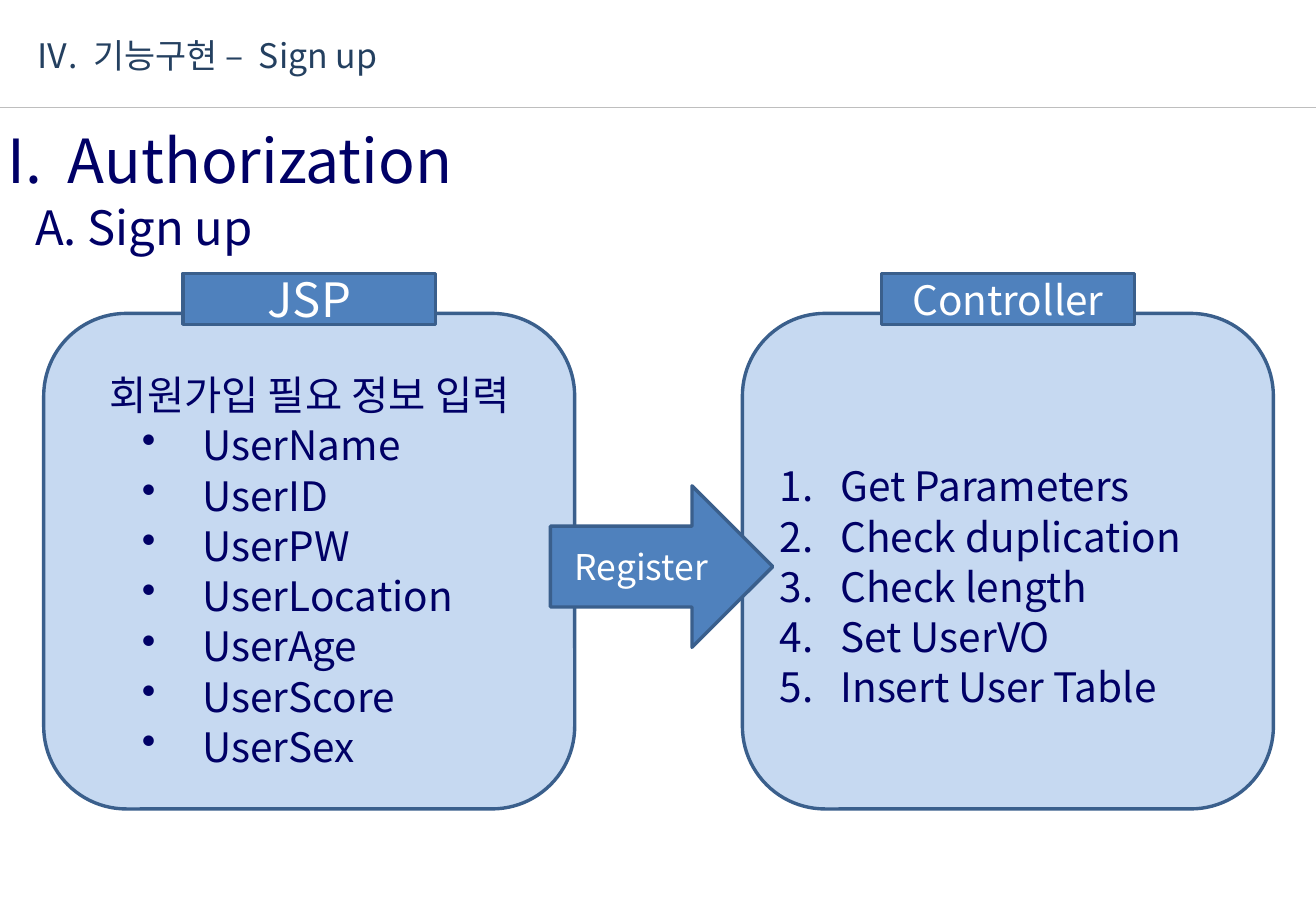
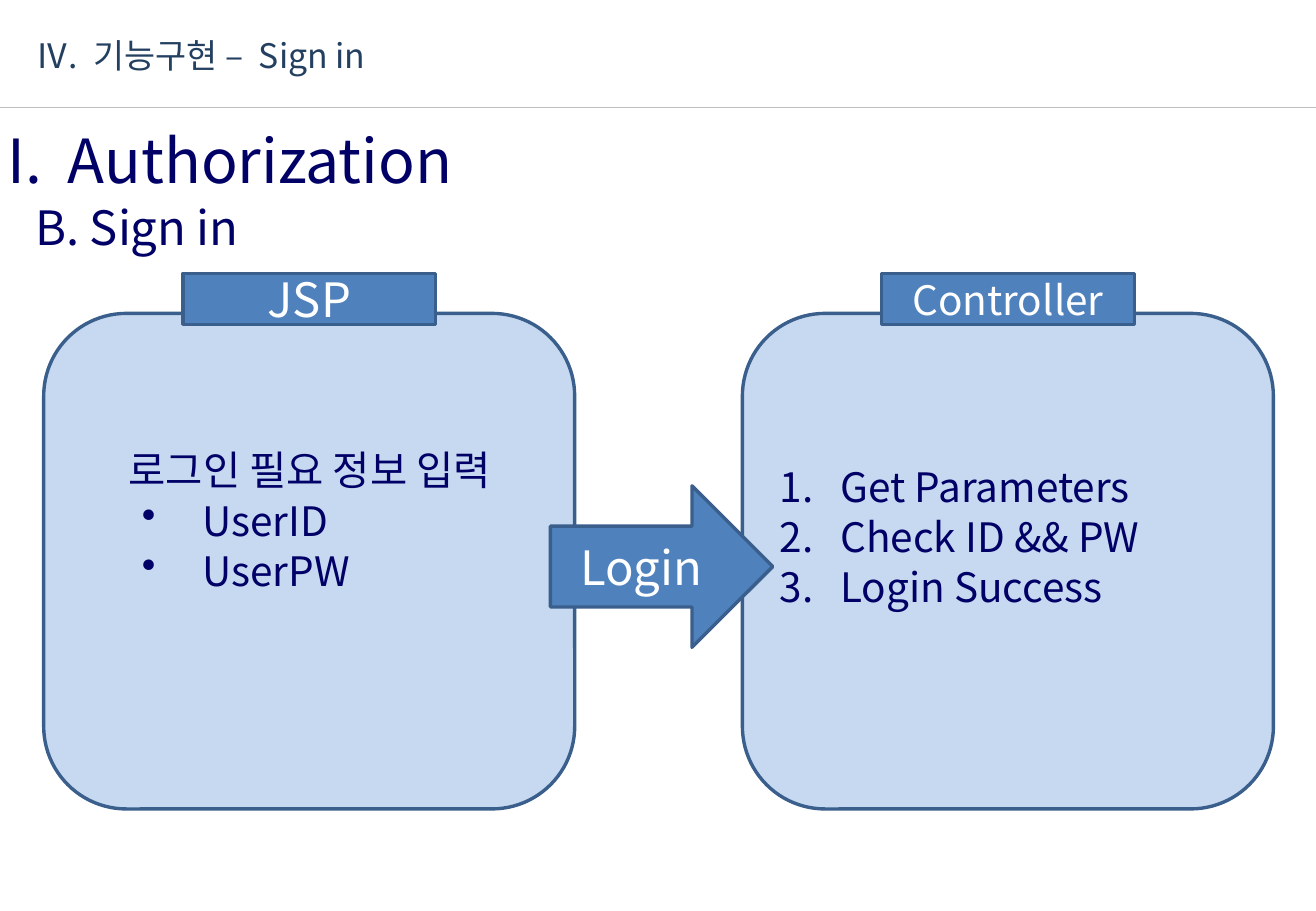
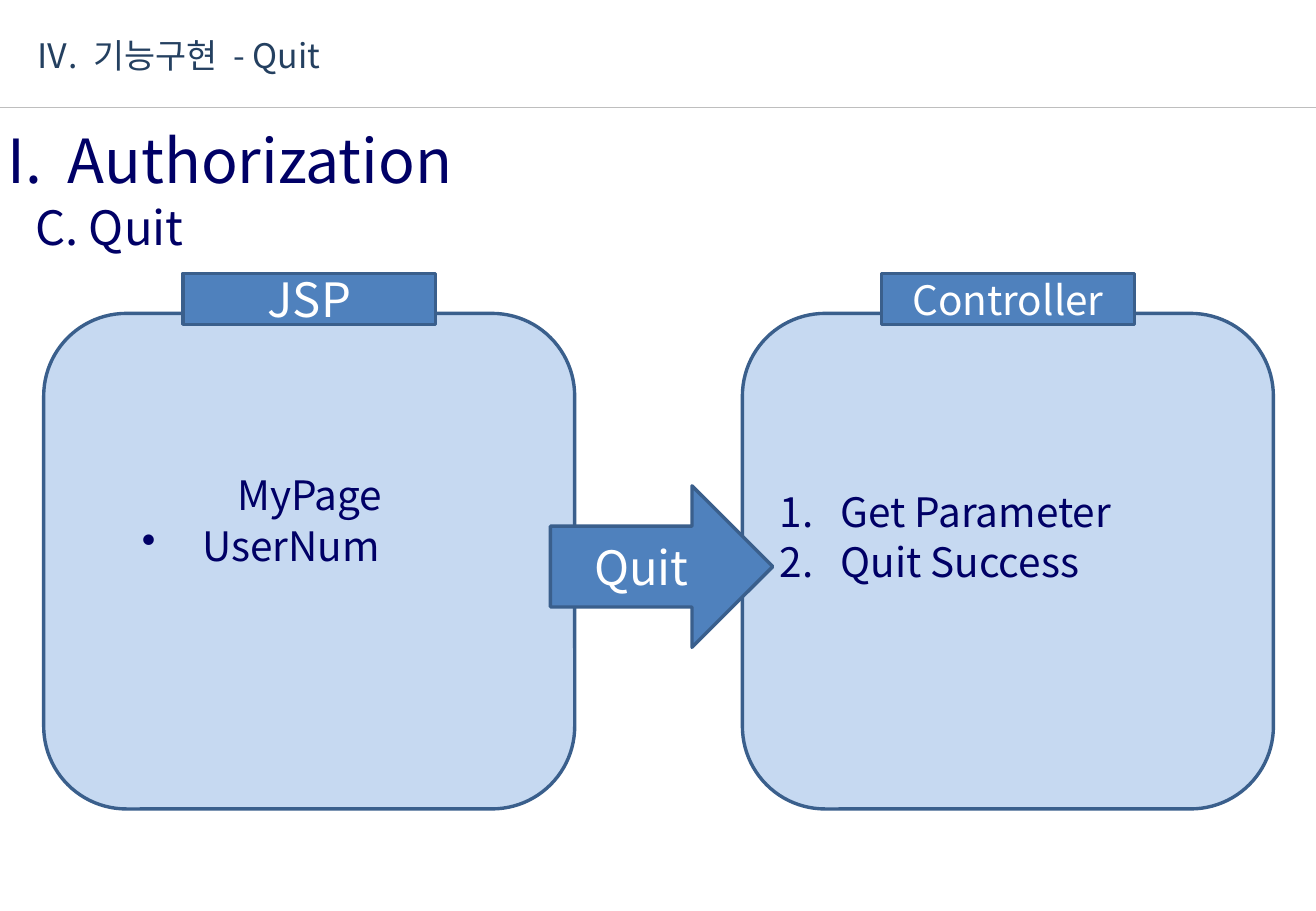
from dataclasses import dataclass

from lxml.etree import SubElement
from pptx import Presentation
from pptx.dml.color import RGBColor
from pptx.enum.shapes import MSO_CONNECTOR, MSO_SHAPE
from pptx.enum.text import MSO_ANCHOR, PP_ALIGN
from pptx.oxml.ns import qn
from pptx.util import Inches, Pt


@dataclass(frozen=True)
class Theme:
    """Colours, font and type sizes shared by the slides."""

    font: str = "Noto Sans CJK KR"
    navy: str = "000066"
    header: str = "244060"
    white: str = "FFFFFF"
    panel: str = "C6D9F1"
    accent: str = "4F81BD"
    outline: str = "3A5F8C"
    rule: str = "BEBEBE"
    header_size: int = 20
    title_size: int = 36
    subtitle_size: int = 28
    body_size: int = 24
    body_pitch: float = 28.8
    wide_space: float = 4.5


@dataclass(frozen=True)
class Box:
    """A rectangle in inches."""

    left: float
    top: float
    width: float
    height: float

    def lengths(self):
        """Return the four sides as lengths."""
        return [Inches(side) for side in (self.left, self.top, self.width, self.height)]


THEME = Theme()
WIDTH, HEIGHT = 10.83, 7.5
HEADER = Box(0.28, 0.28, 3.89, 0.35)
TITLE = Box(0.05, 1, 4.37, 0.62)
SUBTITLE = Box(0.28, 1.62, 9.68, 0.48)
RULE_TOP = 0.88
PANEL_WIDTH, PANEL_HEIGHT = 4.37, 4.08
PANEL_TOP, PANEL_MARGIN = 2.58, 0.36
JSP = Box(PANEL_MARGIN, PANEL_TOP, PANEL_WIDTH, PANEL_HEIGHT)
CONTROLLER = Box(WIDTH - PANEL_MARGIN - PANEL_WIDTH + 0.01, PANEL_TOP, PANEL_WIDTH, PANEL_HEIGHT)
ARROW = Box(4.53, 4, 1.83, 1.33)
TAB_WIDTH, TAB_HEIGHT, TAB_RISE = 2.08, 0.42, 0.33

PAGES = [
    {
        "header": ["Ⅳ.", "기능구현 –", "Sign up"],
        "subtitle": "A. Sign up",
        "heading": "회원가입 필요 정보 입력",
        "fields": ["UserName", "UserID", "UserPW", "UserLocation", "UserAge", "UserScore", "UserSex"],
        "field_shift": 0.15,
        "action": "Register",
        "action_size": 21,
        "steps": ["Get Parameters", "Check duplication", "Check length", "Set UserVO", "Insert User Table"],
        "step_shift": 0.41,
    },
    {
        "header": ["Ⅳ.", "기능구현 –", "Sign in"],
        "subtitle": "B. Sign in",
        "heading": "로그인 필요 정보 입력",
        "fields": ["UserID", "UserPW"],
        "field_shift": -0.68,
        "action": "Login",
        "action_size": 28,
        "steps": ["Get Parameters", "Check ID && PW", "Login Success"],
        "step_shift": -0.41,
    },
    {
        "header": ["Ⅳ.", "기능구현", "- Quit"],
        "subtitle": "C. Quit",
        "heading": "MyPage",
        "fields": ["UserNum"],
        "field_shift": -0.68,
        "action": "Quit",
        "action_size": 28,
        "steps": ["Get Parameter", "Quit Success"],
        "step_shift": -0.41,
    },
]


def add_run(paragraph, text, size, color, spacing=0):
    """Add one styled run, with optional letter spacing in points."""
    run = paragraph.add_run()
    run.text = text
    run.font.size = Pt(size)
    run.font.color.rgb = RGBColor.from_string(color)
    run.font.name = THEME.font
    properties = run.font._element
    SubElement(properties, qn("a:ea"), typeface=THEME.font)
    if spacing:
        properties.set("spc", str(round(spacing * 100)))


def indent(paragraph, margin, hanging=0.0):
    """Set the left margin and hanging indent of a paragraph."""
    properties = paragraph._p.get_or_add_pPr()
    properties.set("marL", str(Inches(margin)))
    properties.set("indent", str(-Inches(hanging)))
    return properties


def add_label(slide, box):
    """Add an empty text box and return its first paragraph."""
    frame = slide.shapes.add_textbox(*box.lengths()).text_frame
    frame.word_wrap = True
    frame.margin_left = frame.margin_right = frame.margin_bottom = 0
    frame.margin_top = Inches(0.01)
    paragraph = frame.paragraphs[0]
    paragraph.space_before = Pt(1)
    indent(paragraph, 0.01)
    return paragraph


def add_block(slide, kind, box, fill):
    """Add an outlined shape and return its middle-anchored text frame."""
    shape = slide.shapes.add_shape(kind, *box.lengths())
    shape.shadow.inherit = False
    shape.fill.solid()
    shape.fill.fore_color.rgb = RGBColor.from_string(fill)
    shape.line.color.rgb = RGBColor.from_string(THEME.outline)
    shape.line.width = Pt(2)
    frame = shape.text_frame
    frame.word_wrap = True
    frame.vertical_anchor = MSO_ANCHOR.MIDDLE
    return frame


def add_caption(slide, kind, box, text, size):
    """Add an accent shape with one centred white caption."""
    paragraph = add_block(slide, kind, box, THEME.accent).paragraphs[0]
    paragraph.alignment = PP_ALIGN.CENTER
    add_run(paragraph, text, size, THEME.white)


def add_panel(slide, box, caption, caption_size, lines, shift):
    """Add a rounded panel of (kind, text) lines with a caption tab on its top edge."""
    frame = add_block(slide, MSO_SHAPE.ROUNDED_RECTANGLE, box, THEME.panel)
    frame.margin_top = Inches(max(shift, 0))
    frame.margin_bottom = Inches(max(-shift, 0))
    for index, (kind, text) in enumerate(lines):
        paragraph = frame.add_paragraph() if index else frame.paragraphs[0]
        paragraph.space_before = Pt(1)
        paragraph.line_spacing = Pt(THEME.body_pitch)
        paragraph.alignment = PP_ALIGN.CENTER if kind == "heading" else PP_ALIGN.LEFT
        if kind == "heading":
            indent(paragraph, 0.01)
        elif kind == "bullet":
            paragraph.level = 1
            SubElement(indent(paragraph, 1.01, 0.5), qn("a:buChar"), char="•")
        else:
            SubElement(indent(paragraph, 0.51, 0.5), qn("a:buAutoNum"), type="arabicPeriod")
        add_run(paragraph, text, THEME.body_size, THEME.navy)
    tab_left = box.left + (box.width - TAB_WIDTH) / 2
    tab = Box(tab_left, box.top - TAB_RISE, TAB_WIDTH, TAB_HEIGHT)
    add_caption(slide, MSO_SHAPE.RECTANGLE, tab, caption, caption_size)


def add_heading(slide, header, subtitle):
    """Add the header line, its rule, the title and the subtitle."""
    top = Inches(RULE_TOP)
    rule = slide.shapes.add_connector(MSO_CONNECTOR.STRAIGHT, 0, top, Inches(WIDTH), top)
    rule.line.color.rgb = RGBColor.from_string(THEME.rule)
    rule.line.width = Pt(0.25)
    SubElement(rule._element.spPr, qn("a:effectLst"))

    paragraph = add_label(slide, TITLE)
    tabs = SubElement(paragraph._p.get_or_add_pPr(), qn("a:tabLst"))
    SubElement(tabs, qn("a:tab"), pos=str(Inches(0.84)), algn="l")
    add_run(paragraph, "I. \tAuthorization", THEME.title_size, THEME.navy)

    paragraph = add_label(slide, HEADER)
    for index, part in enumerate(header):
        if index:
            add_run(paragraph, " ", THEME.header_size, THEME.header, THEME.wide_space)
        add_run(paragraph, part, THEME.header_size, THEME.header)

    add_run(add_label(slide, SUBTITLE), subtitle, THEME.subtitle_size, THEME.navy)


def add_flow_slide(presentation, page):
    """Add one slide showing the flow from the JSP page to the controller."""
    slide = presentation.slides.add_slide(presentation.slide_layouts[6])
    add_heading(slide, page["header"], page["subtitle"])
    fields = [("heading", page["heading"])] + [("bullet", field) for field in page["fields"]]
    steps = [("number", step) for step in page["steps"]]
    add_panel(slide, JSP, "JSP", 28, fields, page["field_shift"])
    add_panel(slide, CONTROLLER, "Controller", 24, steps, page["step_shift"])
    add_caption(slide, MSO_SHAPE.RIGHT_ARROW, ARROW, page["action"], page["action_size"])


def main():
    """Build and save the presentation."""
    presentation = Presentation()
    presentation.slide_width = Inches(WIDTH)
    presentation.slide_height = Inches(HEIGHT)
    for page in PAGES:
        add_flow_slide(presentation, page)
    presentation.save("out.pptx")


if __name__ == "__main__":
    main()
